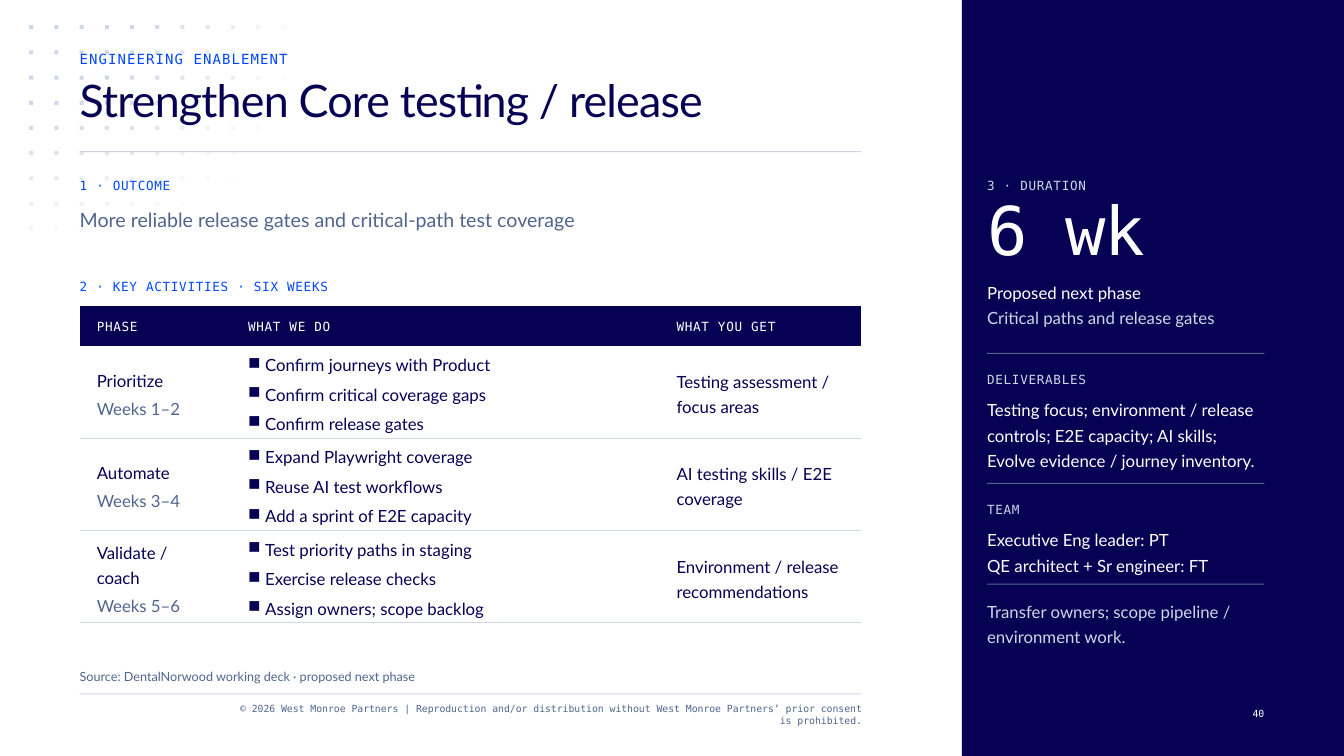
from math import hypot

from lxml.etree import SubElement
from pptx import Presentation
from pptx.dml.color import RGBColor
from pptx.enum.shapes import MSO_SHAPE
from pptx.enum.text import MSO_ANCHOR, PP_ALIGN
from pptx.oxml import parse_xml
from pptx.oxml.ns import nsdecls, qn
from pptx.util import Inches, Pt

COLORS = {
    "navy": "070154",
    "blue": "0047FF",
    "slate": "50658E",
    "mist": "CED7E6",
    "white": "FFFFFF",
}
MONO, SANS = "DejaVu Sans Mono", "Lato"

# Text styles: font, size, line spacing, colour, letter spacing (all in points)
STYLES = {
    "eyebrow": (MONO, 10, 12, "blue", 0.8),
    "title": (SANS, 32, 36, "navy", -0.6),
    "label": (MONO, 9, 12, "blue", 0.5),
    "side label": (MONO, 9, 12, "mist", 0.5),
    "header": (MONO, 9, 12, "white", 0.5),
    "outcome": (SANS, 14, 21, "slate", 0),
    "figure": (MONO, 48, 48, "white", -1),
    "body": (SANS, 12, 18, "navy", 0),
    "weeks": (SANS, 12, 18, "slate", 0),
    "side body": (SANS, 12, 18, "white", 0),
    "side muted": (SANS, 12, 18, "mist", 0),
    "source": (SANS, 9, 12, "slate", 0),
    "copyright": (MONO, 7, 9, "slate", 0),
    "page": (MONO, 7, 9, "white", 0),
}

LEFT, WIDTH = 0.79, 7.75
SIDE_LEFT, SIDE_WIDTH = 9.79, 2.75

prs = Presentation()
prs.slide_width, prs.slide_height = Inches(13.33), Inches(7.5)
slide = prs.slides.add_slide(prs.slide_layouts[6])


def add_block(left, top, width, height, color):
    block = slide.shapes.add_shape(
        MSO_SHAPE.RECTANGLE, Inches(left), Inches(top), Inches(width), Inches(height))
    block.shadow.inherit = False
    block.fill.solid()
    block.fill.fore_color.rgb = RGBColor.from_string(COLORS[color])
    block.line.fill.background()
    return block


def write(frame, lines, gap=0, bullet=None, align=PP_ALIGN.LEFT):
    """Fill a text frame with (text, style) lines, gap points apart."""
    for index, (text, style) in enumerate(lines):
        font, size, leading, color, tracking = STYLES[style]
        line = frame.paragraphs[0] if index == 0 else frame.add_paragraph()
        line.text = text
        line.alignment = align
        line.line_spacing = Pt(leading)
        if index < len(lines) - 1:
            line.space_after = Pt(gap)
        if bullet:
            props = line._p.get_or_add_pPr()
            props.set("marL", str(Inches(0.17)))
            props.set("indent", str(-Inches(0.17)))
            SubElement(props, qn("a:buChar")).set("char", bullet)
        line.font.name = font
        line.font.size = Pt(size)
        line.font.color.rgb = RGBColor.from_string(COLORS[color])
        if tracking:
            line.font._element.set("spc", str(round(tracking * 100)))


# Side panel
add_block(9.54, 0, 3.79, 7.5, "navy")

# Dot grid fading away from the top left corner
for column in range(11):
    for row in range(9):
        opacity = min(100, round(153 * (1 - hypot(column / 11.07, row / 9.08))))
        if opacity < 2 or (column, row) == (5, 8):
            continue
        dot = add_block(0.29 + 0.25 * column, 0.25 + 0.25 * row, 0.04, 0.04, "mist")
        if opacity < 100:
            tint = dot.fill._xPr.find(".//" + qn("a:srgbClr"))
            SubElement(tint, qn("a:alpha")).set("val", str(opacity * 1000))

# Rules
for top in (1.5, 6.88):
    add_block(LEFT, top, WIDTH, 0.01, "mist")
for top in (3.5, 4.79, 5.79):
    add_block(SIDE_LEFT, top, SIDE_WIDTH, 0.01, "slate")

# Text in the main column and the side panel: top, height, style, lines
main_texts = [
    (0.5, 0.17, "eyebrow", ["ENGINEERING ENABLEMENT"]),
    (0.75, 0.75, "title", ["Strengthen Core testing / release"]),
    (1.75, 0.17, "label", ["1 · OUTCOME"]),
    (2, 0.29, "outcome", ["More reliable release gates and critical-path test coverage"]),
    (2.75, 0.17, "label", ["2 · KEY ACTIVITIES · SIX WEEKS"]),
    (6.62, 0.17, "source", ["Source: DentalNorwood working deck · proposed next phase"]),
]
side_texts = [
    (1.75, 0.17, "side label", ["3 · DURATION"]),
    (2, 0.67, "figure", ["6 wk"]),
    (2.75, 0.25, "side body", ["Proposed next phase"]),
    (3, 0.25, "side muted", ["Critical paths and release gates"]),
    (3.67, 0.17, "side label", ["DELIVERABLES"]),
    (3.92, 0.75, "side body", ["Testing focus; environment / release controls; E2E capacity; "
                               "AI skills; Evolve evidence / journey inventory."]),
    (4.96, 0.17, "side label", ["TEAM"]),
    (5.21, 0.5, "side body", ["Executive Eng leader: PT", "QE architect + Sr engineer: FT"]),
    (5.92, 0.5, "side muted", ["Transfer owners; scope pipeline / environment work."]),
]
footer_texts = [
    (2.38, 6.96, 6.17, 0.25, "copyright",
     ["© 2026 West Monroe Partners | Reproduction and/or distribution without "
      "West Monroe Partners’ prior consent is prohibited."], PP_ALIGN.RIGHT),
    (12.21, 7.01, 0.33, 0.15, "page", ["40"], PP_ALIGN.RIGHT),
]
placed_texts = footer_texts + [
    (left, top, width, height, style, lines, PP_ALIGN.LEFT)
    for left, width, texts in ((LEFT, WIDTH, main_texts), (SIDE_LEFT, SIDE_WIDTH, side_texts))
    for top, height, style, lines in texts
]
for left, top, width, height, style, lines, align in placed_texts:
    frame = slide.shapes.add_textbox(
        Inches(left), Inches(top), Inches(width), Inches(height)).text_frame
    frame.word_wrap = True
    frame.margin_left = frame.margin_right = frame.margin_top = frame.margin_bottom = 0
    write(frame, [(line, style) for line in lines], align=align)

# Activities table
headings = ["PHASE", "WHAT WE DO", "WHAT YOU GET"]
phases = [
    ("Prioritize", "Weeks 1–2",
     ["Confirm journeys with Product", "Confirm critical coverage gaps", "Confirm release gates"],
     "Testing assessment / focus areas"),
    ("Automate", "Weeks 3–4",
     ["Expand Playwright coverage", "Reuse AI test workflows", "Add a sprint of E2E capacity"],
     "AI testing skills / E2E coverage"),
    ("Validate / coach", "Weeks 5–6",
     ["Test priority paths in staging", "Exercise release checks", "Assign owners; scope backlog"],
     "Environment / release recommendations"),
]
activities = slide.shapes.add_table(
    len(phases) + 1, len(headings), Inches(LEFT), Inches(3.04), Inches(WIDTH), Inches(3.14)).table
activities.horz_banding = False
# The "No Style, No Grid" table style
activities._tbl.tblPr.find(qn("a:tableStyleId")).text = "{2D5ABB26-0587-4C30-8999-92F81FD0307C}"
for column, width in zip(activities.columns, (1.5, 4.25, 2)):
    column.width = Inches(width)
for index, row in enumerate(activities.rows):
    row.height = Inches(2.75 / len(phases)) if index else Inches(0.39)
    for cell in row.cells:
        cell.margin_left = cell.margin_right = Inches(0.17)
        cell.margin_top = cell.margin_bottom = 0
        cell.vertical_anchor = MSO_ANCHOR.MIDDLE
        cell.fill.solid()
        cell.fill.fore_color.rgb = RGBColor.from_string(COLORS["white" if index else "navy"])
        if index:
            cell._tc.get_or_add_tcPr().insert(0, parse_xml(
                f'<a:lnB {nsdecls("a")} w="{Pt(0.75)}"><a:solidFill>'
                f'<a:srgbClr val="{COLORS["mist"]}"/></a:solidFill></a:lnB>'))

for column, heading in enumerate(headings):
    write(activities.cell(0, column).text_frame, [(heading, "header")])
for row, (phase, weeks, tasks, result) in enumerate(phases, start=1):
    write(activities.cell(row, 0).text_frame, [(phase, "body"), (weeks, "weeks")], gap=2)
    write(activities.cell(row, 1).text_frame, [(task, "body") for task in tasks],
          gap=3, bullet="■")
    write(activities.cell(row, 2).text_frame, [(result, "body")])

prs.save("out.pptx")
